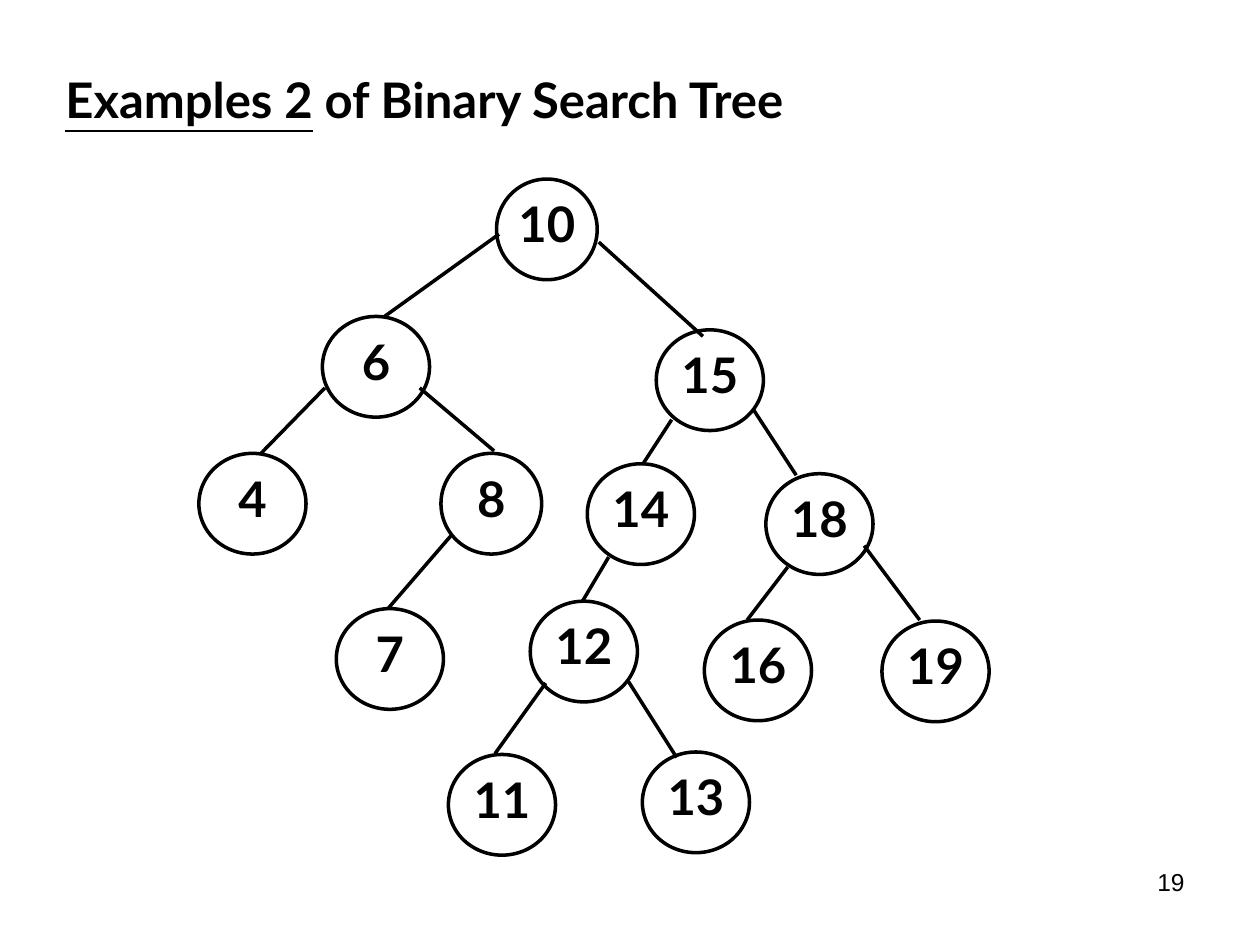
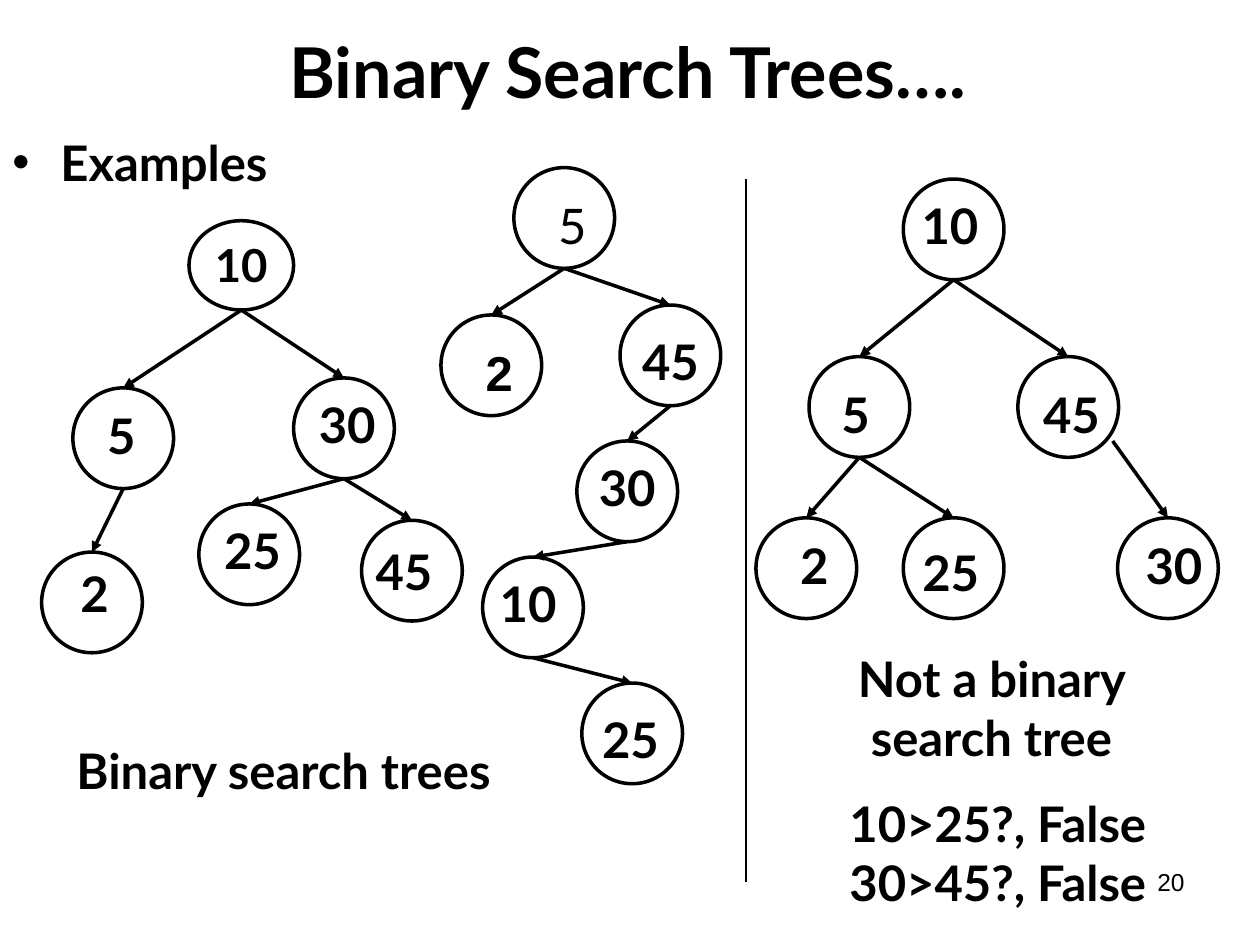
from dataclasses import dataclass
from typing import Optional

from lxml.etree import SubElement
from pptx import Presentation
from pptx.dml.color import RGBColor
from pptx.enum.shapes import MSO_CONNECTOR, MSO_SHAPE
from pptx.enum.text import MSO_ANCHOR, PP_ALIGN
from pptx.oxml.ns import qn
from pptx.util import Cm, Pt

INK = "000000"
BODY_FONT = "Lato"
NUMBER_FONT = "Arial"
NODE_SIZE = 2.03
WIDE_NODE = 2.16
LABEL_HEIGHT = 1.45


@dataclass
class Node:
    """A circle with its number inside; lengths in cm."""
    text: str
    left: float
    top: float
    width: float = WIDE_NODE


@dataclass
class Edge:
    start: tuple[float, float]
    end: tuple[float, float]


@dataclass
class LabelledNode:
    """A circle with its number in a box of its own (label: left, top, width)."""
    text: str
    left: float
    top: float
    label: tuple[float, float, float]
    parent: Optional[str] = None
    width: float = NODE_SIZE
    height: float = NODE_SIZE
    size: int = 28
    bold: bool = True
    font: str = BODY_FONT
    edge_start: Optional[tuple[float, float]] = None


FIRST_NODES = [
    Node("10", 10.01, 3.61, NODE_SIZE),
    Node("6", 6.5, 6.38),
    Node("15", 13.23, 6.65),
    Node("4", 4.01, 9.14),
    Node("8", 8.89, 9.14, NODE_SIZE),
    Node("14", 11.84, 9.35),
    Node("18", 15.44, 9.55),
    Node("7", 6.78, 12.27),
    Node("12", 10.69, 12.12),
    Node("16", 14.2, 12.5),
    Node("19", 17.78, 12.52),
    Node("11", 9.04, 15.21),
    Node("13", 12.95, 15.16),
]

FIRST_EDGES = [
    Edge((10.06, 4.72), (7.75, 6.38)),
    Edge((12.07, 4.88), (14.17, 6.78)),
    Edge((6.55, 7.82), (5.26, 9.14)),
    Edge((8.46, 7.82), (9.96, 9.09)),
    Edge((13.54, 8.46), (12.95, 9.37)),
    Edge((15.19, 8.26), (16.05, 9.58)),
    Edge((9.09, 10.8), (7.82, 12.27)),
    Edge((12.27, 11.23), (11.73, 12.14)),
    Edge((15.88, 11.43), (15.06, 12.5)),
    Edge((17.42, 11), (18.54, 12.5)),
    Edge((11, 13.77), (9.98, 15.19)),
    Edge((12.67, 13.74), (13.64, 15.27)),
]

BALANCED_TREE = [
    LabelledNode("10", 3.81, 4.45, (3.91, 4.65, 1.91), width=2.11, height=1.8, size=26),
    LabelledNode("5", 1.47, 7.82, (1.91, 8.05, 1.07), "10"),
    LabelledNode("30", 5.92, 7.62, (6.15, 7.82, 1.7), "10"),
    LabelledNode("2", 0.84, 11.13, (1.27, 11.23, 1.27), "5"),
    LabelledNode("25", 4.01, 10.16, (4.24, 10.36, 1.7), "30"),
    LabelledNode("45", 7.29, 10.49, (7.19, 10.8, 1.91), "30"),
]

UNBALANCED_TREE = [
    LabelledNode("5", 10.36, 3.38, (11, 3.81, 1.07), bold=False),
    LabelledNode("2", 8.89, 6.35, (9.53, 6.78, 1.07), "5", font=NUMBER_FONT),
    LabelledNode("45", 12.5, 6.15, (12.5, 6.55, 2.03), "5"),
    LabelledNode("30", 11.63, 8.89, (11.63, 9.09, 2.03), "45"),
    LabelledNode("10", 9.73, 11.23, (9.63, 11.43, 2.03), "30"),
    LabelledNode("25", 11.73, 13.77, (11.86, 14.17, 1.7), "10"),
]

INVALID_TREE = [
    LabelledNode("10", 18.21, 3.61, (17.98, 3.81, 2.34)),
    LabelledNode("5", 16.31, 7.19, (16.71, 7.62, 1.07), "10"),
    LabelledNode("45", 20.52, 7.19, (20.75, 7.62, 1.7), "10"),
    LabelledNode("2", 15.24, 10.44, (15.88, 10.67, 1.07), "5"),
    LabelledNode("25", 18.21, 10.44, (18.21, 10.82, 1.91), "5"),
    LabelledNode("30", 22.53, 10.44, (22.65, 10.67, 2.03), "45", edge_start=(22.43, 8.89)),
]


def colour(value: str) -> RGBColor:
    return RGBColor.from_string(value)


def add_span(para, text: str, *, size: int = 28, bold: bool = True,
             font: str = BODY_FONT, underline: bool = False) -> None:
    span = para.add_run()
    span.text = text
    span.font.name = font
    span.font.size = Pt(size)
    span.font.bold = bold
    span.font.underline = underline
    span.font.color.rgb = colour(INK)


def add_text(page, text: str, left: float, top: float, width: float, height: float, *,
             align=PP_ALIGN.CENTER, anchor=MSO_ANCHOR.TOP, **span_format):
    """Add a wrapping text box, one paragraph per line of text."""
    box = page.shapes.add_textbox(Cm(left), Cm(top), Cm(width), Cm(height))
    frame = box.text_frame
    frame.word_wrap = True
    frame.vertical_anchor = anchor
    for index, line in enumerate(text.split("\n")):
        para = frame.add_paragraph() if index else frame.paragraphs[0]
        para.alignment = align
        add_span(para, line, **span_format)
    return box


def add_bullet(para, indent: float) -> None:
    properties = para._p.get_or_add_pPr()
    properties.set("marL", str(Cm(indent)))
    properties.set("indent", str(-Cm(indent)))
    SubElement(properties, qn("a:buFont"), typeface=NUMBER_FONT)
    SubElement(properties, qn("a:buChar"), char="•")


def add_line(page, start: tuple[int, int], end: tuple[int, int], *,
             weight: float = 2, arrow: bool = False):
    line = page.shapes.add_connector(MSO_CONNECTOR.STRAIGHT, *start, *end)
    line.line.color.rgb = colour(INK)
    line.line.width = Pt(weight)
    if arrow:
        SubElement(line.line._get_or_add_ln(), qn("a:tailEnd"), type="triangle")
    SubElement(line._element.spPr, qn("a:effectLst"))
    return line


def add_circle(page, left: float, top: float, width: float, height: float):
    circle = page.shapes.add_shape(MSO_SHAPE.OVAL, Cm(left), Cm(top), Cm(width), Cm(height))
    circle.shadow.inherit = False
    circle.fill.background()
    circle.line.color.rgb = colour(INK)
    circle.line.width = Pt(2)
    return circle


def add_node(page, node: Node) -> None:
    frame = add_circle(page, node.left, node.top, node.width, NODE_SIZE).text_frame
    frame.margin_left = frame.margin_right = frame.margin_top = frame.margin_bottom = 0
    frame.vertical_anchor = MSO_ANCHOR.TOP
    frame.paragraphs[0].alignment = PP_ALIGN.CENTER
    add_span(frame.paragraphs[0], node.text)


def add_tree(page, nodes: list[LabelledNode]) -> None:
    """Draw each node with an arrow from the bottom of its parent to its top."""
    circles = {}
    for node in nodes:
        circle = add_circle(page, node.left, node.top, node.width, node.height)
        circles[node.text] = circle
        left, top, width = node.label
        add_text(page, node.text, left, top, width, LABEL_HEIGHT,
                 size=node.size, bold=node.bold, font=node.font)
        if node.parent is None:
            continue
        parent = circles[node.parent]
        if node.edge_start:
            start = (Cm(node.edge_start[0]), Cm(node.edge_start[1]))
        else:
            start = (parent.left + parent.width // 2, parent.top + parent.height)
        end = (circle.left + circle.width // 2, circle.top)
        add_line(page, start, end, arrow=True).end_connect(circle, 0)


def add_page(deck, number: int):
    page = deck.slides.add_slide(deck.slide_layouts[6])
    add_text(page, str(number), 18.21, 17.35, 5.92, 1.32, align=PP_ALIGN.RIGHT,
             size=14, bold=False, font=NUMBER_FONT)
    return page


def build_second_example(deck) -> None:
    page = add_page(deck, 19)
    heading = add_text(page, "Examples 2", 1.07, 1.27, 23.29, 1.6,
                       align=PP_ALIGN.LEFT, underline=True)
    add_span(heading.text_frame.paragraphs[0], " of Binary Search Tree")
    for edge in FIRST_EDGES:
        start, end = [(Cm(x), Cm(y)) for x, y in (edge.start, edge.end)]
        add_line(page, start, end)
    for node in FIRST_NODES:
        add_node(page, node)


def build_comparison(deck) -> None:
    page = add_page(deck, 20)
    add_text(page, "Binary Search Trees….", 4.5, 0.43, 16.31, 1.98,
             anchor=MSO_ANCHOR.MIDDLE, size=40)
    examples = add_text(page, "Examples", 0, 2.54, 9, 1.6, align=PP_ALIGN.LEFT)
    add_bullet(examples.text_frame.paragraphs[0], 0.97)
    for tree in (BALANCED_TREE, UNBALANCED_TREE, INVALID_TREE):
        add_tree(page, tree)
    add_line(page, (Cm(15.04), Cm(3.61)), (Cm(15.04), Cm(17.78)), weight=1)
    add_text(page, "Binary search trees", 1.27, 14.81, 8.89, 2.64)
    add_text(page, "Not a binary search tree", 16.71, 12.95, 6.55, 2.64)
    add_text(page, "10>25?, False\n30>45?, False", 15.67, 15.88, 8.89, 2.64)


def main() -> None:
    deck = Presentation()
    deck.slide_width, deck.slide_height = Cm(25.4), Cm(19.05)
    build_second_example(deck)
    build_comparison(deck)
    deck.save("out.pptx")


if __name__ == "__main__":
    main()
